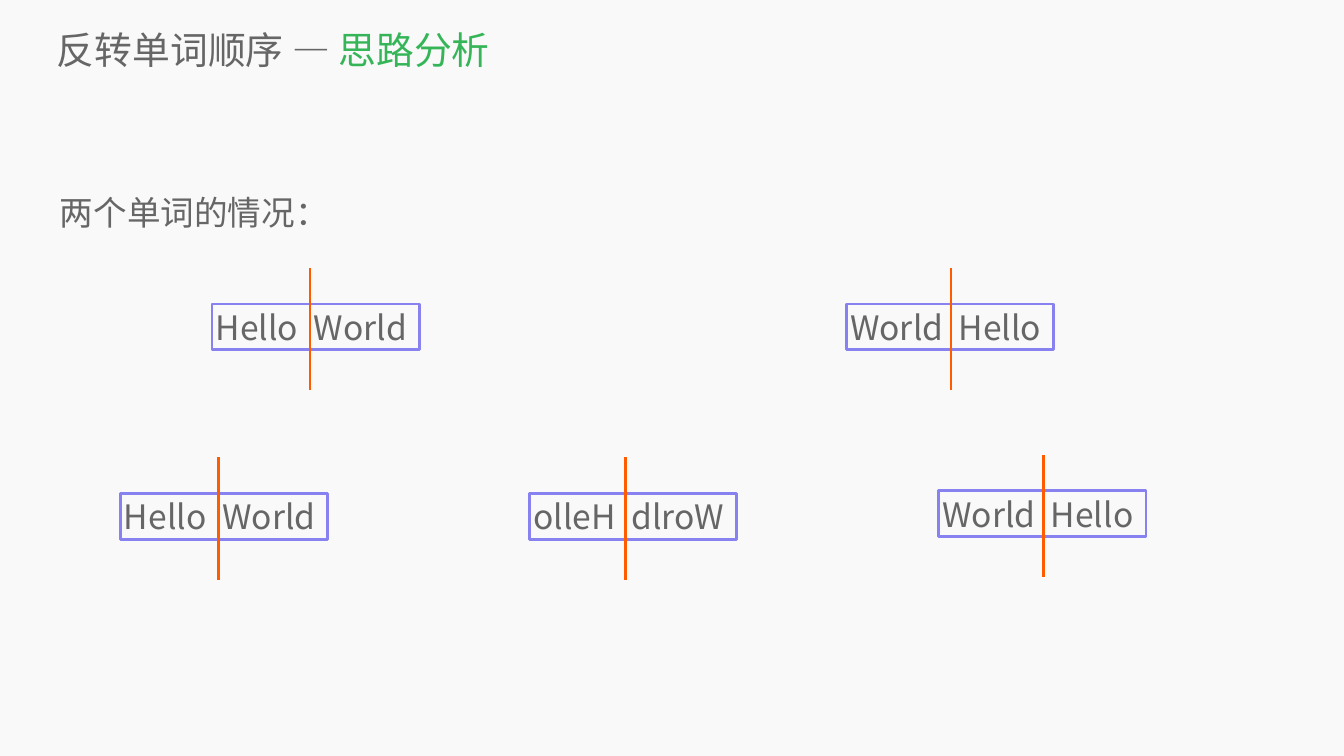
from lxml.etree import SubElement
from pptx import Presentation
from pptx.dml.color import RGBColor
from pptx.enum.shapes import MSO_CONNECTOR, MSO_SHAPE
from pptx.enum.text import MSO_ANCHOR, MSO_AUTO_SIZE, PP_ALIGN
from pptx.oxml.ns import qn
from pptx.util import Cm, Pt

GRAY = RGBColor(0x66, 0x66, 0x66)
GREEN = RGBColor(0x35, 0xB5, 0x58)
PURPLE = RGBColor(0x88, 0x81, 0xF0)
ORANGE = RGBColor(0xFF, 0x5C, 0x00)
PALE = RGBColor(0xF9, 0xF9, 0xF9)
FONT = "Noto Sans CJK SC"

TITLE = [("反转单词顺序 — ", GRAY), ("思路分析", GREEN)]
LEAD = "两个单词的情况："

# first word, second word, left and top of the box in cm
PAIRS = [
    ("Hello", "World", 6.07, 24.87),
    ("olleH", "dlroW", 26.7, 24.87),
    ("World", "Hello", 47.32, 24.74),
    ("Hello", "World", 10.69, 15.32),
    ("World", "Hello", 42.67, 15.32),
]
# first word: start of the second word, place of the cut, in cm
STOPS = {"Hello": (4.95, 4.93), "olleH": (4.95, 4.83), "World": (5.47, 5.26)}
BOX_W, BOX_H = 10.44, 2.31
CUT_H, RISE = 6.18, 1.83


def style(run, size, color):
    font = run.font
    font.size, font.name, font.bold = Pt(size), FONT, False
    font.color.rgb = color
    SubElement(run._r.get_or_add_rPr(), qn("a:ea")).set("typeface", FONT)


def place(shape, left, top, width, height, anchor):
    shape.left, shape.top = Cm(left), Cm(top)
    shape.width, shape.height = Cm(width), Cm(height)
    frame = shape.text_frame
    frame.margin_left = frame.margin_right = 0
    frame.margin_top = frame.margin_bottom = 0
    frame.vertical_anchor = anchor
    frame.auto_size = MSO_AUTO_SIZE.NONE
    frame.word_wrap = True
    para = frame.paragraphs[0]
    para.alignment = PP_ALIGN.LEFT
    para.space_before = Pt(0)
    return para


def add_pair(slide, first, second, left, top):
    """Draw two words in a box, with a line that cuts between them."""
    stop, cut = STOPS[first]
    group = slide.shapes.add_group_shape()
    box = group.shapes.add_shape(MSO_SHAPE.RECTANGLE, 0, 0, 0, 0)
    box.shadow.inherit = False
    box.fill.background()
    box.line.color.rgb = PURPLE
    box.line.width = Pt(4)
    para = place(box, left, top, BOX_W, BOX_H, MSO_ANCHOR.MIDDLE)
    box.text_frame.margin_left = Cm(0.18)
    tabs = SubElement(para._p.get_or_add_pPr(), qn("a:tabLst"))
    tab = SubElement(tabs, qn("a:tab"))
    tab.set("pos", str(Cm(stop)))
    tab.set("algn", "l")
    run = para.add_run()
    run.text = f"{first}\t{second}"
    style(run, 48, GRAY)

    x, y = left + cut, top - RISE
    line = group.shapes.add_connector(
        MSO_CONNECTOR.STRAIGHT, Cm(x), Cm(y), Cm(x), Cm(y + CUT_H))
    line.line.color.rgb = ORANGE
    line.line.width = Pt(4)
    SubElement(line._element.spPr, qn("a:effectLst"))


def main():
    deck = Presentation()
    deck.slide_width, deck.slide_height = Cm(67.74), Cm(38.1)
    slide = deck.slides.add_slide(deck.slide_layouts[0])
    slide.background.fill.solid()
    slide.background.fill.fore_color.rgb = PALE

    para = place(slide.shapes.title, 2.87, 1.19, 63.91, 2.59, MSO_ANCHOR.MIDDLE)
    for text, color in TITLE:
        run = para.add_run()
        run.text = text
        style(run, 54, color)

    para = place(slide.placeholders[1], 3.02, 8.86, 61.67, 28.55, MSO_ANCHOR.TOP)
    para.text = LEAD
    para.line_spacing = 1.4
    style(para.runs[0], 48, GRAY)

    for pair in PAIRS:
        add_pair(slide, *pair)
    deck.save("out.pptx")


if __name__ == "__main__":
    main()
